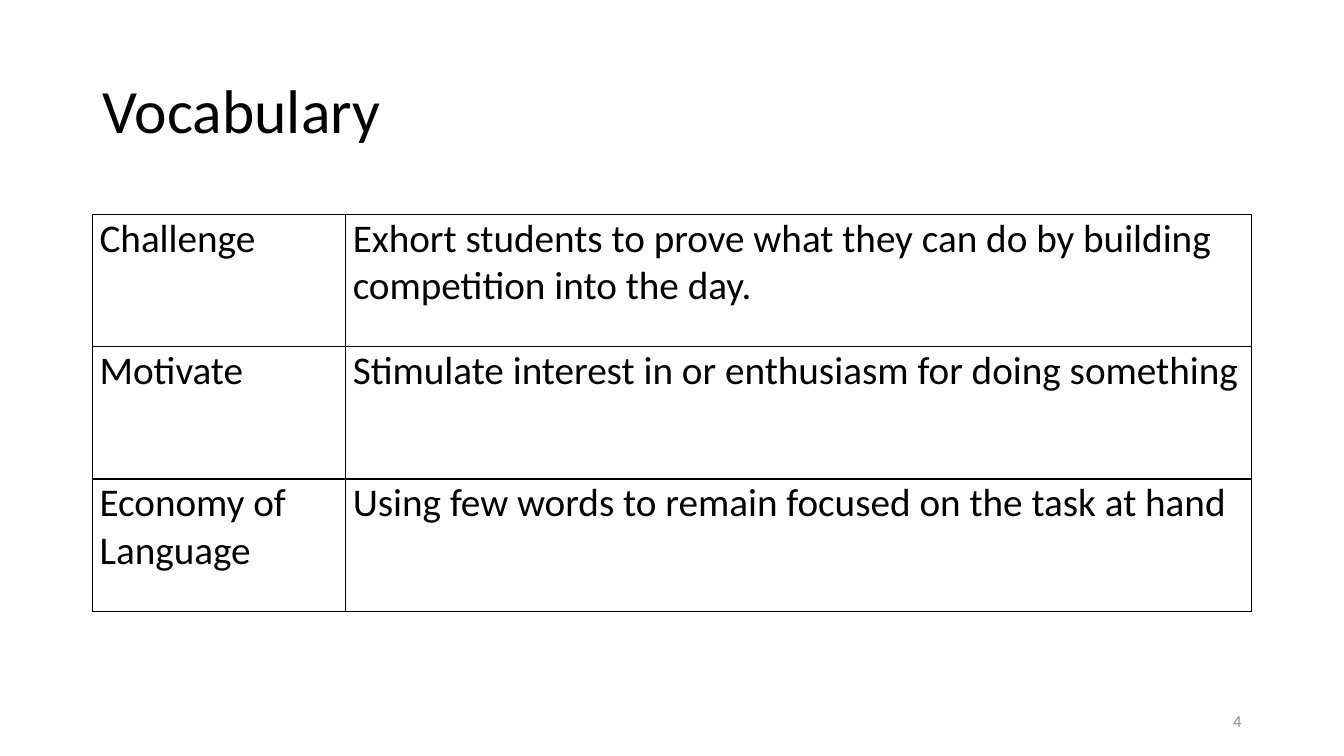
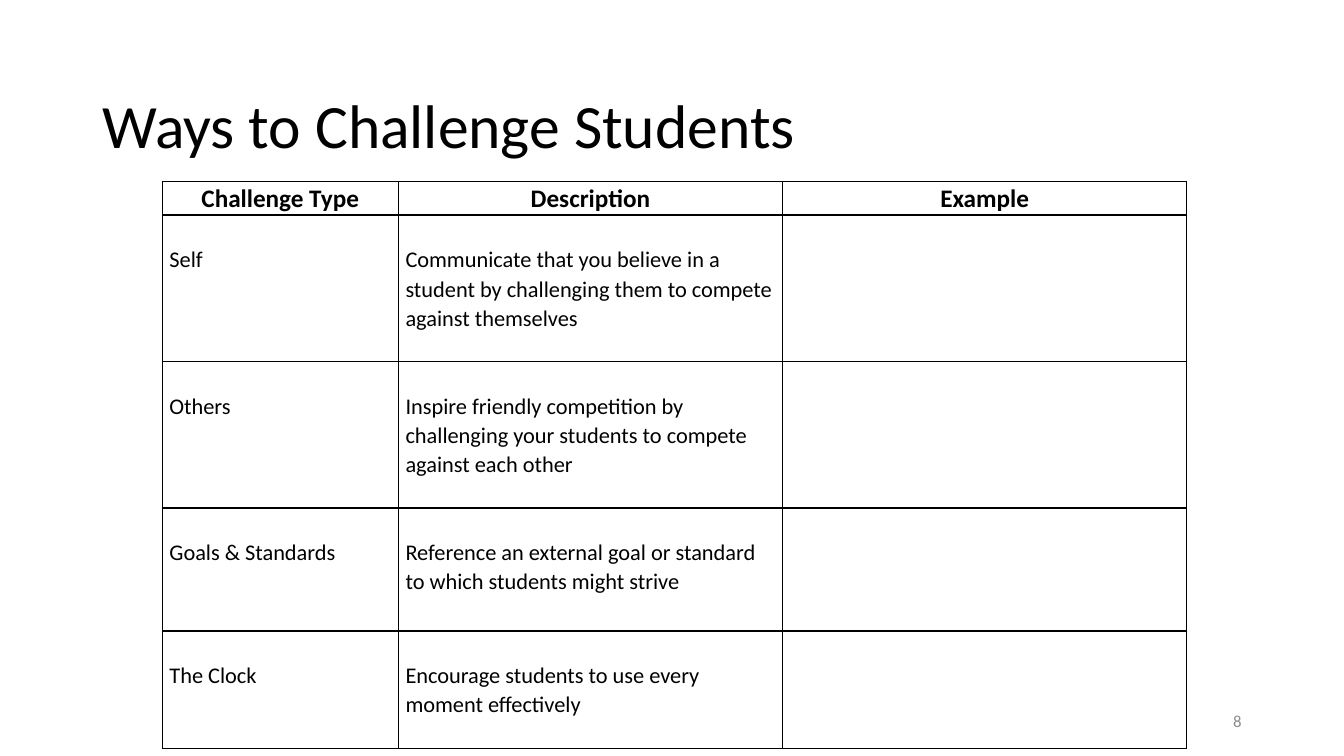
from dataclasses import dataclass

from lxml.etree import SubElement
from pptx import Presentation
from pptx.dml.color import RGBColor
from pptx.enum.text import MSO_ANCHOR, PP_ALIGN
from pptx.oxml.ns import qn
from pptx.util import Cm, Pt


@dataclass(frozen=True)
class Theme:
    font: str = "Calibri"
    ink: str = "000000"
    grey: str = "8C8C8C"
    title: int = 44
    large: int = 28
    head: int = 18
    body: int = 16
    small: int = 12
    rule: int = 1
    left: float = 2.33
    width: float = 29.21


THEME = Theme()

TERMS = [
    ("Challenge", "Exhort students to prove what they can do by building competition into the day."),
    ("Motivate", "Stimulate interest in or enthusiasm for doing something"),
    ("Economy of Language", "Using few words to remain focused on the task at hand"),
]
HEADS = ("Challenge Type", "Description", "Example")
WAYS = [
    ("Self", "Communicate that you believe in a student by challenging them to compete against themselves", ""),
    ("Others", "Inspire friendly competition by challenging your students to compete against each other", ""),
    ("Goals & Standards", "Reference an external goal or standard to which students might strive", ""),
    ("The Clock", "Encourage students to use every moment effectively", ""),
]


def write(frame, text, size, color=THEME.ink, bold=False, align=PP_ALIGN.LEFT, space=1.0):
    para = frame.paragraphs[0]
    para.alignment = align
    para.line_spacing = space
    run = para.add_run()
    run.text = text
    font = run.font
    font.name, font.size, font.bold = THEME.font, Pt(size), bold
    font.color.rgb = RGBColor.from_string(color)


def add_text(slide, box, text, size, **style):
    frame = slide.shapes.add_textbox(*map(Cm, box)).text_frame
    frame.word_wrap = True
    frame.vertical_anchor = MSO_ANCHOR.MIDDLE
    write(frame, text, size, **style)


def add_slide(deck, title, top, number):
    slide = deck.slides.add_slide(deck.slide_layouts[6])
    add_text(slide, (THEME.left, top, THEME.width, 3.68), title, THEME.title, space=0.9)
    return slide, number


def add_number(slide, number):
    add_text(slide, (23.92, 17.65, 7.62, 1.01), str(number), THEME.small,
             color=THEME.grey, align=PP_ALIGN.RIGHT)


def add_rules(cell):
    props = cell._tc.get_or_add_tcPr()
    for side in "LRTB":
        line = SubElement(props, qn(f"a:ln{side}"), w=str(Pt(THEME.rule)))
        fill = SubElement(line, qn("a:solidFill"))
        SubElement(fill, qn("a:srgbClr"), val=THEME.ink)


def add_grid(slide, left, top, cols, rows):
    frame = slide.shapes.add_table(len(rows), len(cols), Cm(left), Cm(top),
                                   Cm(sum(cols)), Cm(sum(rows)))
    table = frame.table
    table.first_row = table.horz_banding = False
    for col, width in zip(table.columns, cols):
        col.width = Cm(width)
    for row, height in zip(table.rows, rows):
        row.height = Cm(height)
    for cell in table.iter_cells():
        add_rules(cell)
        cell.fill.background()
        cell.margin_left = cell.margin_right = Cm(0.18)
        cell.margin_top = cell.margin_bottom = Cm(0)
    return table


def fill_row(row, texts, size, pad=0, **style):
    for cell, text in zip(row.cells, texts):
        cell.margin_top = Cm(pad)
        if text:
            write(cell.text_frame, text, size, **style)


def add_terms(deck):
    slide, number = add_slide(deck, "Vocabulary", 1.01, 4)
    table = add_grid(slide, THEME.left, 5.41, (6.38, 22.83), [3.33] * len(TERMS))
    for row, texts in zip(table.rows, TERMS):
        fill_row(row, texts, THEME.large)
    add_number(slide, number)


def add_ways(deck):
    slide, number = add_slide(deck, "Ways to Challenge Students", 1.4, 8)
    table = add_grid(slide, 4.09, 4.57, (5.95, 9.68, 10.19), (0.85, 3.69, 3.69, 3.1, 2.97))
    head, *rest = table.rows
    fill_row(head, HEADS, THEME.head, bold=True, align=PP_ALIGN.CENTER, space=1.07)
    for row, texts in zip(rest, WAYS):
        fill_row(row, texts, THEME.body, pad=0.74, space=1.07)
    add_number(slide, number)


def main():
    deck = Presentation()
    deck.slide_width, deck.slide_height = Cm(33.87), Cm(19.05)
    add_terms(deck)
    add_ways(deck)
    deck.save("out.pptx")


if __name__ == "__main__":
    main()
